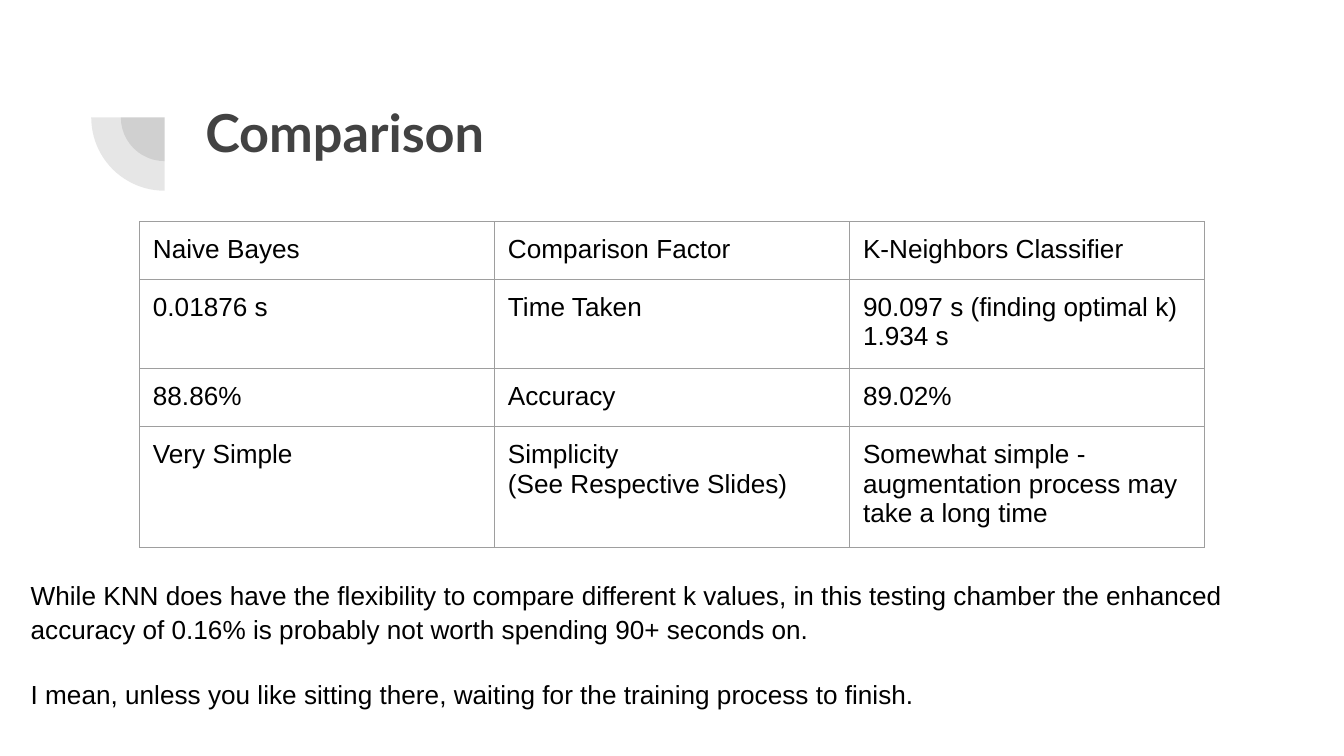
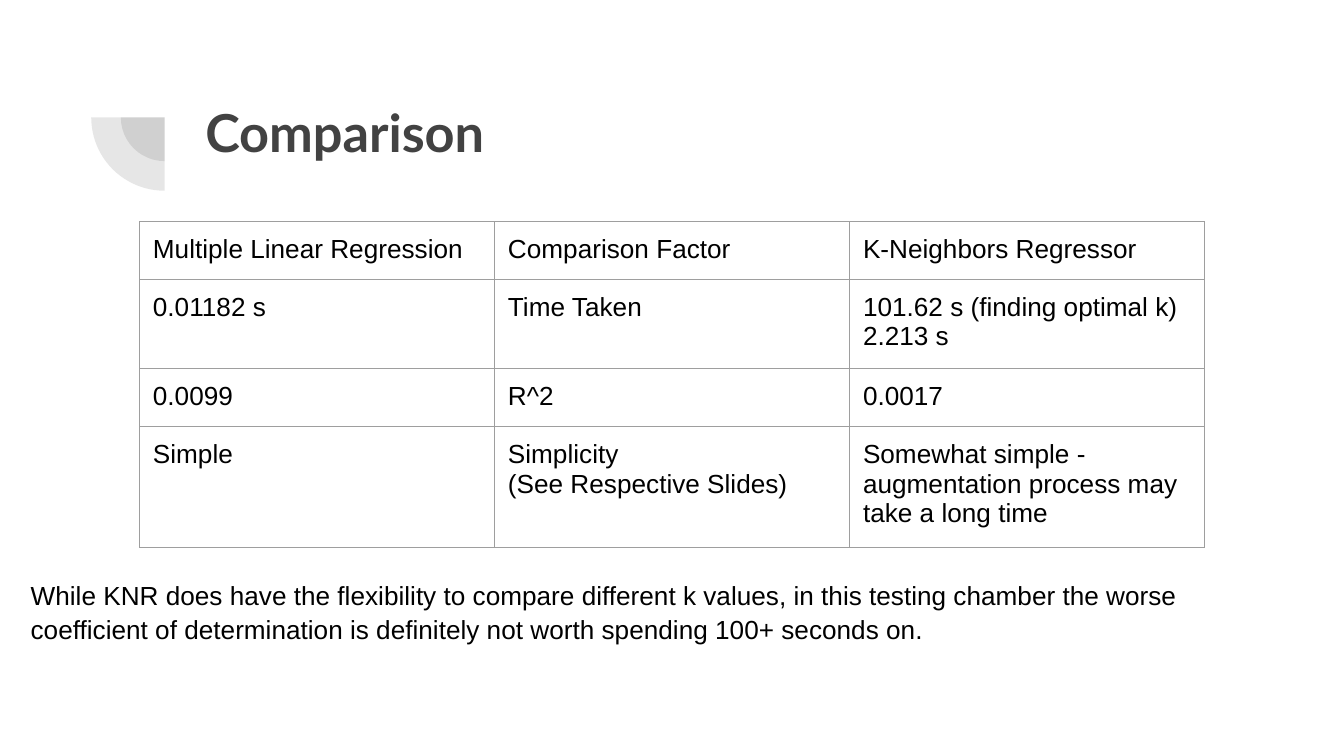
import dataclasses

import lxml.etree
import pptx
import pptx.dml.color
import pptx.enum.shapes
import pptx.enum.text
import pptx.oxml.ns
import pptx.slide
import pptx.table
import pptx.text.text
import pptx.util

Cm = pptx.util.Cm
Pt = pptx.util.Pt
qn = pptx.oxml.ns.qn

DARK_GREY = "424242"
BORDER_GREY = "9E9E9E"
BLACK = "000000"
WHITE = "FFFFFF"
INSET = Cm(0.25)
PIE_OPACITY = 13
PIE_CENTRE = (3.11, 2.22)
PIE_DIAMETERS = (1.65, 2.77)


@dataclasses.dataclass(frozen=True)
class Box:
    left: float
    top: float
    width: float
    height: float

    def lengths(self) -> tuple[pptx.util.Length, ...]:
        return tuple(Cm(value) for value in dataclasses.astuple(self))


@dataclasses.dataclass(frozen=True)
class Comparison:
    """Table rows, with line breaks between paragraphs, and the remarks below."""
    rows: list[tuple[str, str, str]]
    remarks: list[str]


TITLE_BOX = Box(3.63, 1.65, 19.53, 2.77)
TABLE_BOX = Box(2.64, 4.19, 20.13, 4.28)
REMARKS_BOX = Box(0.33, 10.67, 24.03, 3.28)

SIMPLICITY = "Simplicity\n(See Respective Slides)"
NEIGHBORS_SIMPLICITY = "Somewhat simple - augmentation process may take a long time"

COMPARISONS = [
    Comparison(
        rows=[
            ("Naive Bayes", "Comparison Factor", "K-Neighbors Classifier"),
            ("0.01876 s", "Time Taken", "90.097 s (finding optimal k)\n1.934 s"),
            ("88.86%", "Accuracy", "89.02%"),
            ("Very Simple", SIMPLICITY, NEIGHBORS_SIMPLICITY),
        ],
        remarks=[
            "While KNN does have the flexibility to compare different k values, in this "
            "testing chamber the enhanced accuracy of 0.16% is probably not worth "
            "spending 90+ seconds on.",
            "I mean, unless you like sitting there, waiting for the training process to finish.",
        ],
    ),
    Comparison(
        rows=[
            ("Multiple Linear Regression", "Comparison Factor", "K-Neighbors Regressor"),
            ("0.01182 s", "Time Taken", "101.62 s (finding optimal k)\n2.213 s"),
            ("0.0099", "R^2", "0.0017"),
            ("Simple", SIMPLICITY, NEIGHBORS_SIMPLICITY),
        ],
        remarks=[
            "While KNR does have the flexibility to compare different k values, in this "
            "testing chamber the worse coefficient of determination is definitely not "
            "worth spending 100+ seconds on.",
        ],
    ),
]


def color(value: str) -> pptx.dml.color.RGBColor:
    return pptx.dml.color.RGBColor.from_string(value)


def write_text(frame: pptx.text.text.TextFrame, text: str, *, font: str = "Arial",
               size: float = 14, ink: str = BLACK, bold: bool = False,
               line_spacing: float = 1.0, gap: float = 0) -> None:
    """Write one paragraph per line of text, with gap points between them."""
    for index, line in enumerate(text.split("\n")):
        para = frame.add_paragraph() if index else frame.paragraphs[0]
        para.line_spacing = line_spacing
        para.space_before = Pt(gap if index else 0)
        span = para.add_run()
        span.text = line
        span.font.name = font
        span.font.size = Pt(size)
        span.font.bold = bold
        span.font.color.rgb = color(ink)


def add_text_box(page: pptx.slide.Slide, box: Box, text: str, **text_format) -> None:
    frame = page.shapes.add_textbox(*box.lengths()).text_frame
    frame.word_wrap = True
    frame.vertical_anchor = pptx.enum.text.MSO_ANCHOR.TOP
    frame.margin_left = frame.margin_right = INSET
    frame.margin_top = frame.margin_bottom = INSET
    write_text(frame, text, **text_format)


def add_quarter_pie(page: pptx.slide.Slide, diameter: float) -> None:
    """Draw the translucent lower left quarter of a circle beside the title."""
    left, top = (centre - diameter / 2 for centre in PIE_CENTRE)
    pie = page.shapes.add_shape(pptx.enum.shapes.MSO_SHAPE.PIE,
                                *Box(left, top, diameter, diameter).lengths())
    # Angles count 60000 to the degree, and adjustments divide them by 100000.
    for index, degrees in enumerate((180, 270)):
        pie.adjustments[index] = degrees * 0.6
    pie.rotation = 270
    pie.shadow.inherit = False
    pie.line.fill.background()
    pie.fill.solid()
    pie.fill.fore_color.rgb = color(DARK_GREY)
    fill_color = pie.fill._xPr.find(f"{qn('a:solidFill')}/{qn('a:srgbClr')}")
    lxml.etree.SubElement(fill_color, qn("a:alpha"), val=str(PIE_OPACITY * 1000))


def add_borders(cell: pptx.table._Cell) -> None:
    properties = cell._tc.get_or_add_tcPr()
    for index, side in enumerate(("a:lnL", "a:lnR", "a:lnT", "a:lnB")):
        line = lxml.etree.Element(qn(side), w=str(Pt(0.75)))
        fill = lxml.etree.SubElement(line, qn("a:solidFill"))
        lxml.etree.SubElement(fill, qn("a:srgbClr"), val=BORDER_GREY)
        properties.insert(index, line)


def add_comparison_table(page: pptx.slide.Slide, rows: list[tuple[str, str, str]]) -> None:
    table = page.shapes.add_table(len(rows), len(rows[0]), *TABLE_BOX.lengths()).table
    table.first_row = False
    table.horz_banding = False
    for row_index, texts in enumerate(rows):
        for column_index, text in enumerate(texts):
            cell = table.cell(row_index, column_index)
            cell.margin_left = cell.margin_right = INSET
            cell.margin_top = cell.margin_bottom = INSET
            cell.vertical_anchor = pptx.enum.text.MSO_ANCHOR.TOP
            cell.fill.background()
            add_borders(cell)
            write_text(cell.text_frame, text)


def add_comparison_page(deck, comparison: Comparison) -> None:
    page = deck.slides.add_slide(deck.slide_layouts[6])
    page.background.fill.solid()
    page.background.fill.fore_color.rgb = color(WHITE)
    for diameter in PIE_DIAMETERS:
        add_quarter_pie(page, diameter)
    add_text_box(page, TITLE_BOX, "Comparison", font="Lato", size=28, ink=DARK_GREY, bold=True)
    add_comparison_table(page, comparison.rows)
    add_text_box(page, REMARKS_BOX, "\n".join(comparison.remarks), line_spacing=1.07, gap=16.8)


def main() -> None:
    deck = pptx.Presentation()
    deck.slide_width = Cm(25.4)
    deck.slide_height = Cm(14.29)
    for comparison in COMPARISONS:
        add_comparison_page(deck, comparison)
    deck.save("out.pptx")


if __name__ == "__main__":
    main()
